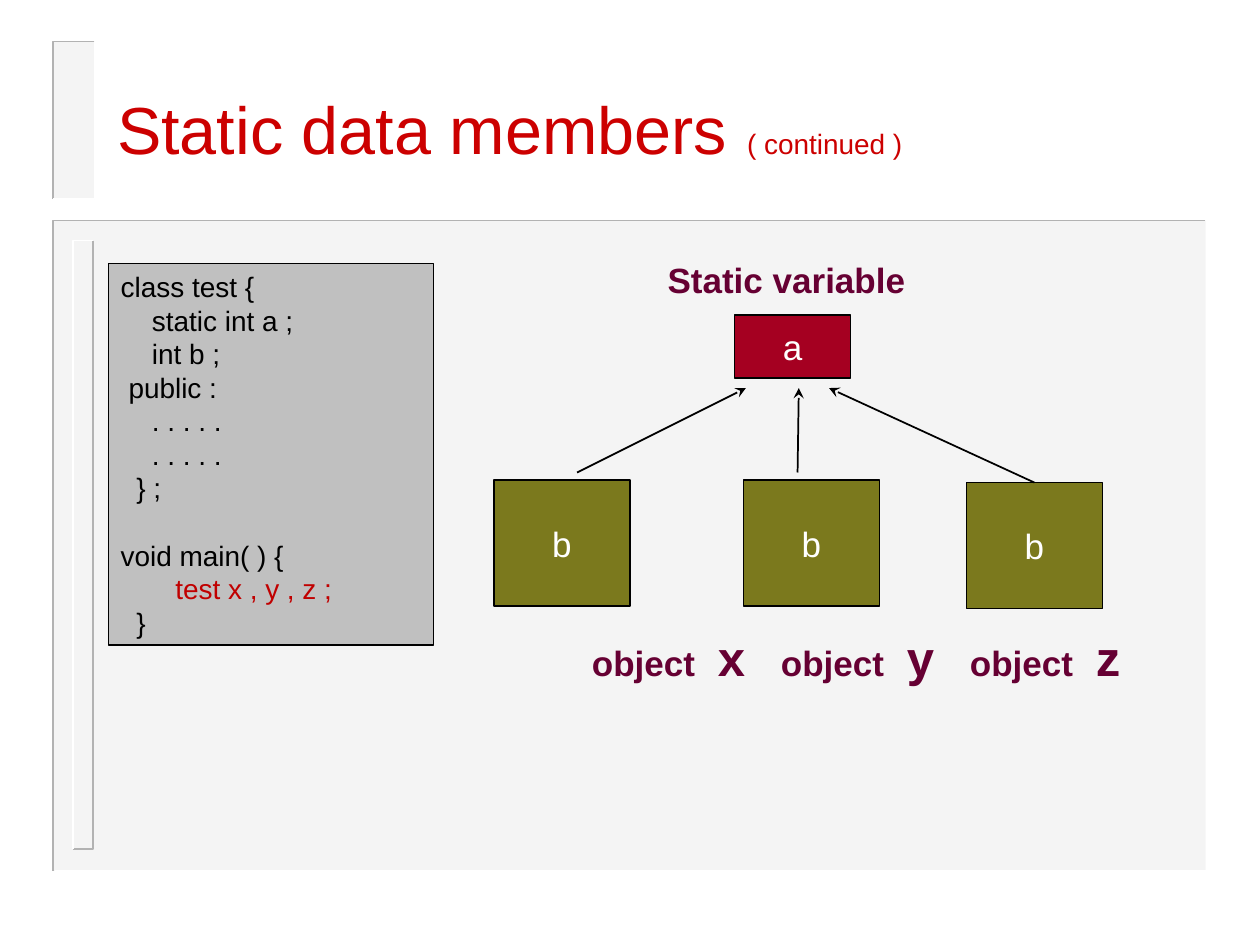
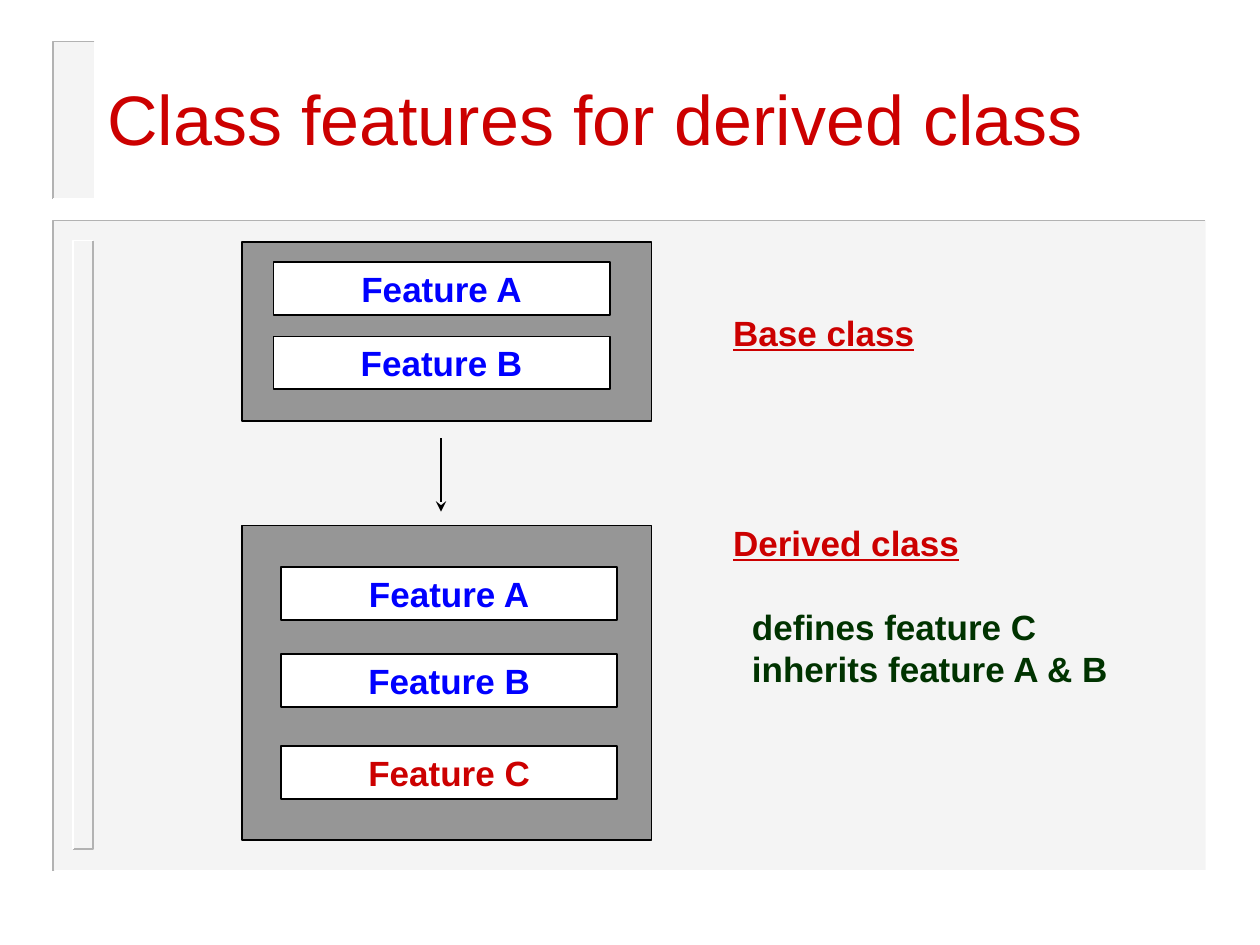
from lxml.etree import SubElement
from pptx import Presentation
from pptx.dml.color import RGBColor
from pptx.enum.shapes import MSO_CONNECTOR, MSO_SHAPE
from pptx.enum.text import MSO_ANCHOR, MSO_AUTO_SIZE, PP_ALIGN
from pptx.oxml.ns import qn
from pptx.util import Inches, Pt

WHITE = RGBColor(0xFF, 0xFF, 0xFF)
BLACK = RGBColor(0x00, 0x00, 0x00)
PANEL = RGBColor(0xEA, 0xEA, 0xEA)
EDGE = RGBColor(0xB2, 0xB2, 0xB2)
RED = RGBColor(0xCC, 0x00, 0x00)
CODE_RED = RGBColor(0xC0, 0x00, 0x00)
CODE_GRAY = RGBColor(0xC0, 0xC0, 0xC0)
CLASS_GRAY = RGBColor(0x96, 0x96, 0x96)
CRIMSON = RGBColor(0xA5, 0x00, 0x21)
OLIVE = RGBColor(0x7B, 0x79, 0x1D)
PLUM = RGBColor(0x66, 0x00, 0x33)
BLUE = RGBColor(0x00, 0x00, 0xFF)
GREEN = RGBColor(0x00, 0x33, 0x00)

FONT = "Arial"
LINE_FACTOR = 1.2
SPACE_WIDTH = 0.062
TITLE_ONLY = 5

PANELS = [(0.43, 1.75, 9.14, 5.16), (0.42, 0.33, 0.33, 1.25)]
BEVELS = [
    (0.42, 1.75, 9.14, 5.16, EDGE, "top left"),
    (0.44, 1.75, 9.14, 5.16, WHITE, "bottom right"),
    (0.58, 1.91, 0.16, 4.83, EDGE, "bottom right"),
    (0.58, 1.91, 0.16, 4.83, WHITE, "top left"),
    (0.42, 0.33, 0.33, 1.25, EDGE, "top left"),
    (0.42, 0.33, 0.33, 1.25, WHITE, "bottom right"),
]

STATIC_TITLE = [("Static data members\t", 38), ("( continued )", 16)]
STATIC_TITLE_TABS = [5.14]
CODE_BOX = (0.86, 2.09, 2.58, 3.03)
CODE = [
    (0, "class test {", BLACK, 0),
    (4, "static int a ;", BLACK, 0),
    (4, "int b ;", BLACK, 0),
    (1, "public :", BLACK, 0),
    (4, ". . . . .", BLACK, 0),
    (4, ". . . . .", BLACK, 0),
    (2, "} ;", BLACK, 0),
    (0, "void main( ) {", BLACK, 1),
    (7, "test x , y , z ;", CODE_RED, 0),
    (2, "}", BLACK, 0),
]
STATIC_BOX = (5.83, 2.5, 0.92, 0.5)
OBJECT_SIZE = (1.08, 1)
OBJECT_CORNERS = [(3.92, 3.81), (5.9, 3.81), (7.67, 3.83)]
OBJECT_NAMES = ["x", "y", "z"]
OBJECT_TABS = [0.16, 1.13, 2.04, 3.03, 3.78, 4.78]
OBJECT_ARROWS = [
    ((4.58, 3.75), (5.92, 3.08)),
    ((6.33, 3.75), (6.34, 3.08)),
    ((8.21, 3.83), (6.58, 3.08)),
]

CLASS_LEFT, CLASS_WIDTH = 1.92, 3.25
FEATURE_SIZE = (2.67, 0.42)
CLASSES = [
    (1.92, 1.42, 2.17, [(2.08, "A", BLUE), (2.67, "B", BLUE)]),
    (4.17, 2.5, 2.23, [(4.5, "A", BLUE), (5.19, "B", BLUE), (5.92, "C", RED)]),
]
CLASS_NOTES = [
    ("Base class", RED, True, 0, 0),
    ("Derived class", RED, True, 0, 4),
    ("defines feature C", GREEN, False, 0.15, 1),
    ("inherits feature A & B", GREEN, False, 0.15, 0),
]


def inches(*lengths):
    return [Inches(length) for length in lengths]


def add_run(paragraph, text, size, color, bold=False, underline=False):
    run = paragraph.add_run()
    run.text = text
    font = run.font
    font.name, font.size, font.bold = FONT, Pt(size), bold
    font.underline = underline
    font.color.rgb = color


def set_paragraph(paragraph, size, indent=0, lines_before=0, tabs=(),
                  align=PP_ALIGN.LEFT):
    line_height = size * LINE_FACTOR
    paragraph.alignment = align
    paragraph.line_spacing = Pt(line_height)
    paragraph.space_before = Pt(line_height * lines_before)
    properties = paragraph._p.get_or_add_pPr()
    properties.set("marL", str(Inches(indent)))
    properties.set("indent", "0")
    if tabs:
        tab_list = SubElement(properties, qn("a:tabLst"))
        for tab in tabs:
            SubElement(tab_list, qn("a:tab"), pos=str(Inches(tab)), algn="l")


def next_paragraph(frame, index):
    return frame.add_paragraph() if index else frame.paragraphs[0]


def add_box(slide, place, fill, line=BLACK, weight=1):
    shape = slide.shapes.add_shape(MSO_SHAPE.RECTANGLE, *inches(*place))
    shape.shadow.inherit = False
    shape.fill.solid()
    shape.fill.fore_color.rgb = fill
    if line is None:
        shape.line.fill.background()
    else:
        shape.line.color.rgb = line
        shape.line.width = Pt(weight)
    return shape


def add_labelled_box(slide, place, fill, text, color=WHITE, bold=False):
    shape = add_box(slide, place, fill)
    frame = shape.text_frame
    frame.word_wrap = False
    frame.vertical_anchor = MSO_ANCHOR.MIDDLE
    paragraph = frame.paragraphs[0]
    set_paragraph(paragraph, 20, align=PP_ALIGN.CENTER)
    add_run(paragraph, text, 20, color, bold)
    return shape


def add_text_frame(slide, place):
    frame = slide.shapes.add_textbox(*inches(*place)).text_frame
    frame.word_wrap = True
    return frame


def add_arrow(slide, start, end, source=None):
    connector = slide.shapes.add_connector(
        MSO_CONNECTOR.STRAIGHT, *inches(*start, *end))
    if source is not None:
        connector.begin_connect(source, 0)
    connector.line.color.rgb = BLACK
    connector.line.width = Pt(1)
    properties = connector._element.spPr
    SubElement(properties.find(qn("a:ln")), qn("a:tailEnd"), type="stealth")
    SubElement(properties, qn("a:effectLst"))


def add_bevel(slide, left, top, width, height, color, corner):
    right, bottom = left + width, top + height
    points = [(right, top), (left, bottom)]
    points.insert(1, (left, top) if corner == "top left" else (right, bottom))
    start, *others = [tuple(inches(*point)) for point in points]
    builder = slide.shapes.build_freeform(*start, scale=1.0)
    builder.add_line_segments(others, close=False)
    bevel = builder.convert_to_shape()
    bevel.shadow.inherit = False
    bevel.fill.background()
    bevel.line.color.rgb = color
    bevel.line.width = Pt(1)


def add_slide(presentation, title_place, title_runs, tabs=()):
    slide = presentation.slides.add_slide(presentation.slide_layouts[TITLE_ONLY])
    for place in PANELS:
        panel = add_box(slide, place, PANEL, None)
        color = panel._element.spPr.find(qn("a:solidFill"))[0]
        SubElement(color, qn("a:alpha"), val="50000")
    for bevel in BEVELS:
        add_bevel(slide, *bevel)
    title = slide.shapes.title
    title.left, title.top, title.width, title.height = inches(*title_place)
    frame = title.text_frame
    frame.word_wrap = True
    frame.auto_size = MSO_AUTO_SIZE.NONE
    frame.vertical_anchor = MSO_ANCHOR.MIDDLE
    paragraph = frame.paragraphs[0]
    set_paragraph(paragraph, title_runs[0][1], tabs=tabs)
    for text, size in title_runs:
        add_run(paragraph, text, size, RED)
    return slide


def add_static_members(presentation):
    slide = add_slide(presentation, (0.83, 0.39, 8.5, 1.25), STATIC_TITLE,
                      STATIC_TITLE_TABS)
    frame = add_box(slide, CODE_BOX, CODE_GRAY, weight=0.75).text_frame
    frame.vertical_anchor = MSO_ANCHOR.TOP
    for index, (spaces, text, color, lines_before) in enumerate(CODE):
        paragraph = next_paragraph(frame, index)
        set_paragraph(paragraph, 16, spaces * SPACE_WIDTH, lines_before)
        add_run(paragraph, text, 16, color)

    add_labelled_box(slide, STATIC_BOX, CRIMSON, "a")
    objects = [add_labelled_box(slide, corner + OBJECT_SIZE, OLIVE, "b")
               for corner in OBJECT_CORNERS]

    paragraph = add_text_frame(slide, (4.1, 4.93, 5.3, 0.57)).paragraphs[0]
    set_paragraph(paragraph, 28, tabs=OBJECT_TABS)
    for name in OBJECT_NAMES:
        add_run(paragraph, "\tobject\t", 20, PLUM, True)
        add_run(paragraph, name, 28, PLUM, True)

    for (start, end), box in zip(OBJECT_ARROWS, objects):
        touches = Inches(start[1]) == box.top
        add_arrow(slide, start, end, box if touches else None)

    paragraph = add_text_frame(slide, (5.2, 2, 2.16, 0.44)).paragraphs[0]
    set_paragraph(paragraph, 20)
    add_run(paragraph, "Static variable", 20, PLUM, True)


def add_derived_class(presentation):
    slide = add_slide(presentation, (0.75, 0.31, 9.25, 1.25),
                      [("Class features for derived class", 40)])
    for top, height, feature_left, features in CLASSES:
        add_box(slide, (CLASS_LEFT, top, CLASS_WIDTH, height), CLASS_GRAY)
        for feature_top, letter, color in features:
            add_labelled_box(slide, (feature_left, feature_top) + FEATURE_SIZE,
                             WHITE, f"Feature {letter}", color, True)
    add_arrow(slide, (3.5, 3.48), (3.5, 4.06))

    frame = add_text_frame(slide, (5.72, 2.42, 3.2, 3.1))
    for index, note in enumerate(CLASS_NOTES):
        text, color, underline, indent, lines_before = note
        paragraph = next_paragraph(frame, index)
        set_paragraph(paragraph, 20, indent, lines_before)
        add_run(paragraph, text, 20, color, True, underline)


def main():
    presentation = Presentation()
    presentation.slide_width, presentation.slide_height = inches(10, 7.5)
    add_static_members(presentation)
    add_derived_class(presentation)
    presentation.save("out.pptx")


if __name__ == "__main__":
    main()
